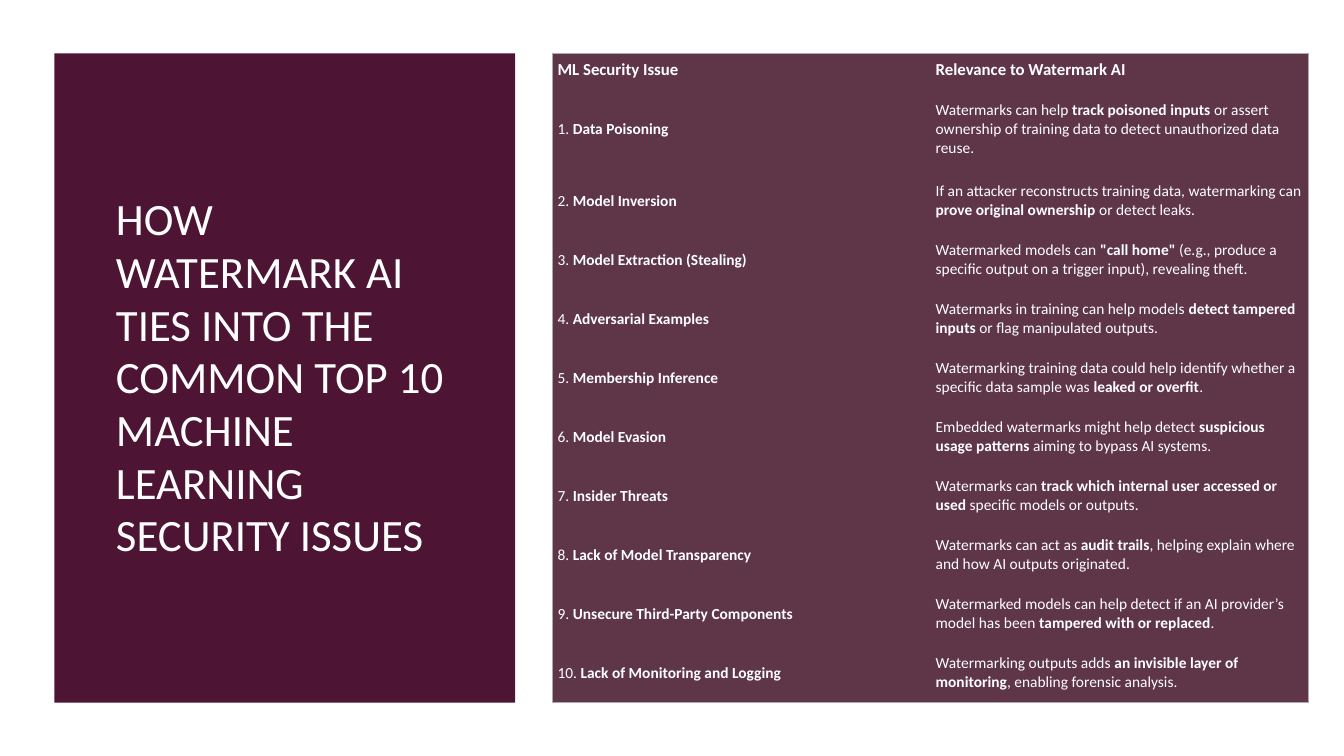
from dataclasses import dataclass

from lxml import etree
from pptx import Presentation
from pptx import util as u
from pptx.dml import color
from pptx.enum import shapes, text
from pptx.oxml import ns


@dataclass(frozen=True)
class Theme:
    font: str = "Calibri"
    white: str = "FFFFFF"
    plum: str = "4D1434"
    mauve: str = "5E3648"
    edge: str = "B0A9AC"
    title: float = 32
    head: float = 12
    body: float = 11


@dataclass(frozen=True)
class Box:
    left: float
    top: float
    width: float
    height: float

    def spans(self) -> list[int]:
        return [u.Inches(n) for n in (self.left, self.top, self.width, self.height)]


@dataclass(frozen=True)
class Issue:
    name: str
    note: str  # bold passages stand between double asterisks


THEME = Theme()
PAGE = Box(0, 0, 13.33, 7.5)
PANEL = Box(0.54, 0.53, 4.57, 6.44)
TITLE = Box(1.05, 1.22, 3.58, 5.06)
GRID = Box(5.48, 0.53, 7.5, 6.44)
HEAD_ROW, TALL_ROW = 0.33, 0.84

HEADS = ("**ML Security Issue**", "**Relevance to Watermark AI**")
ISSUES = [
    Issue("Data Poisoning", "Watermarks can help **track poisoned inputs** or assert "
          "ownership of training data to detect unauthorized data reuse."),
    Issue("Model Inversion", "If an attacker reconstructs training data, watermarking can "
          "**prove original ownership** or detect leaks."),
    Issue("Model Extraction (Stealing)", 'Watermarked models can **"call home"** (e.g., '
          "produce a specific output on a trigger input), revealing theft."),
    Issue("Adversarial Examples", "Watermarks in training can help models "
          "**detect tampered inputs** or flag manipulated outputs."),
    Issue("Membership Inference", "Watermarking training data could help identify whether "
          "a specific data sample was **leaked or overfit**."),
    Issue("Model Evasion", "Embedded watermarks might help detect "
          "**suspicious usage patterns** aiming to bypass AI systems."),
    Issue("Insider Threats", "Watermarks can **track which internal user accessed or "
          "used** specific models or outputs."),
    Issue("Lack of Model Transparency", "Watermarks can act as **audit trails**, helping "
          "explain where and how AI outputs originated."),
    Issue("Unsecure Third-Party Components", "Watermarked models can help detect if an AI "
          "provider’s model has been **tampered with or replaced**."),
    Issue("Lack of Monitoring and Logging", "Watermarking outputs adds "
          "**an invisible layer of monitoring**, enabling forensic analysis."),
]


def write(frame, words: str, *, size: float, after: float = 0,
          spacing: float = 1.0) -> None:
    """Fill a text frame, setting the marked passages in bold."""
    frame.word_wrap = True
    para = frame.paragraphs[0]
    para.alignment = text.PP_ALIGN.LEFT
    para.space_after = u.Pt(after)
    para.line_spacing = spacing
    for i, part in enumerate(words.split("**")):
        if part:
            run = para.add_run()
            run.text = part
            run.font.name = THEME.font
            run.font.size = u.Pt(size)
            run.font.bold = i % 2 == 1
            run.font.color.rgb = color.RGBColor.from_string(THEME.white)


def block(slide, box: Box, fill: str) -> None:
    shape = slide.shapes.add_shape(shapes.MSO_SHAPE.RECTANGLE, *box.spans())
    shape.shadow.inherit = False
    shape.fill.solid()
    shape.fill.fore_color.rgb = color.RGBColor.from_string(fill)
    shape.line.fill.background()


def border(cell, sides: dict[str, bool]) -> None:
    """Draw the sides marked True and clear the others."""
    props = cell._tc.get_or_add_tcPr()
    for i, (side, shown) in enumerate(sides.items()):
        line = etree.Element(ns.qn(f"a:ln{side}"), w=str(u.Pt(1)))
        props.insert(i, line)
        if shown:
            fill = etree.SubElement(line, ns.qn("a:solidFill"))
            etree.SubElement(fill, ns.qn("a:srgbClr"), val=THEME.edge)
        else:
            etree.SubElement(line, ns.qn("a:noFill"))


def add_title(slide) -> None:
    title = slide.shapes.title
    title.element.getparent().append(title.element)  # bring in front of the panel
    title.left, title.top, title.width, title.height = TITLE.spans()
    title.text_frame.vertical_anchor = text.MSO_ANCHOR.MIDDLE
    title.text_frame.auto_size = text.MSO_AUTO_SIZE.NONE
    write(title.text_frame, "HOW WATERMARK AI TIES INTO THE COMMON TOP 10 "
          "MACHINE LEARNING SECURITY ISSUES", size=THEME.title, after=6, spacing=0.98)


def add_grid(slide) -> None:
    rows = [HEADS] + [(f"{n}. **{issue.name}**", issue.note)
                      for n, issue in enumerate(ISSUES, 1)]
    last, end = len(rows) - 1, len(HEADS) - 1
    table = slide.shapes.add_table(len(rows), len(HEADS), *GRID.spans()).table
    for col in table.columns:
        col.width = u.Inches(GRID.width / len(HEADS))
    rest = (GRID.height - HEAD_ROW - TALL_ROW) / (last - 1)
    for r, words in enumerate(rows):
        table.rows[r].height = u.Inches((HEAD_ROW, TALL_ROW)[r] if r < 2 else rest)
        for c, word in enumerate(words):
            cell = table.cell(r, c)
            cell.vertical_anchor = text.MSO_ANCHOR.MIDDLE
            cell.margin_left = cell.margin_right = u.Inches(0.05)
            cell.margin_top = cell.margin_bottom = u.Inches(0.03)
            cell.fill.solid()
            cell.fill.fore_color.rgb = color.RGBColor.from_string(THEME.mauve)
            border(cell, {"L": c == 0, "R": c == end, "T": r == 0, "B": r == last})
            write(cell.text_frame, word, size=THEME.body if r else THEME.head)


def main() -> None:
    deck = Presentation()
    deck.slide_width, deck.slide_height = PAGE.spans()[2:]
    slide = deck.slides.add_slide(deck.slide_layouts[5])

    # Backdrop and title panel
    block(slide, PAGE, THEME.white)
    block(slide, PANEL, THEME.plum)
    add_title(slide)

    # Table of issues
    add_grid(slide)
    deck.save("out.pptx")


if __name__ == "__main__":
    main()
